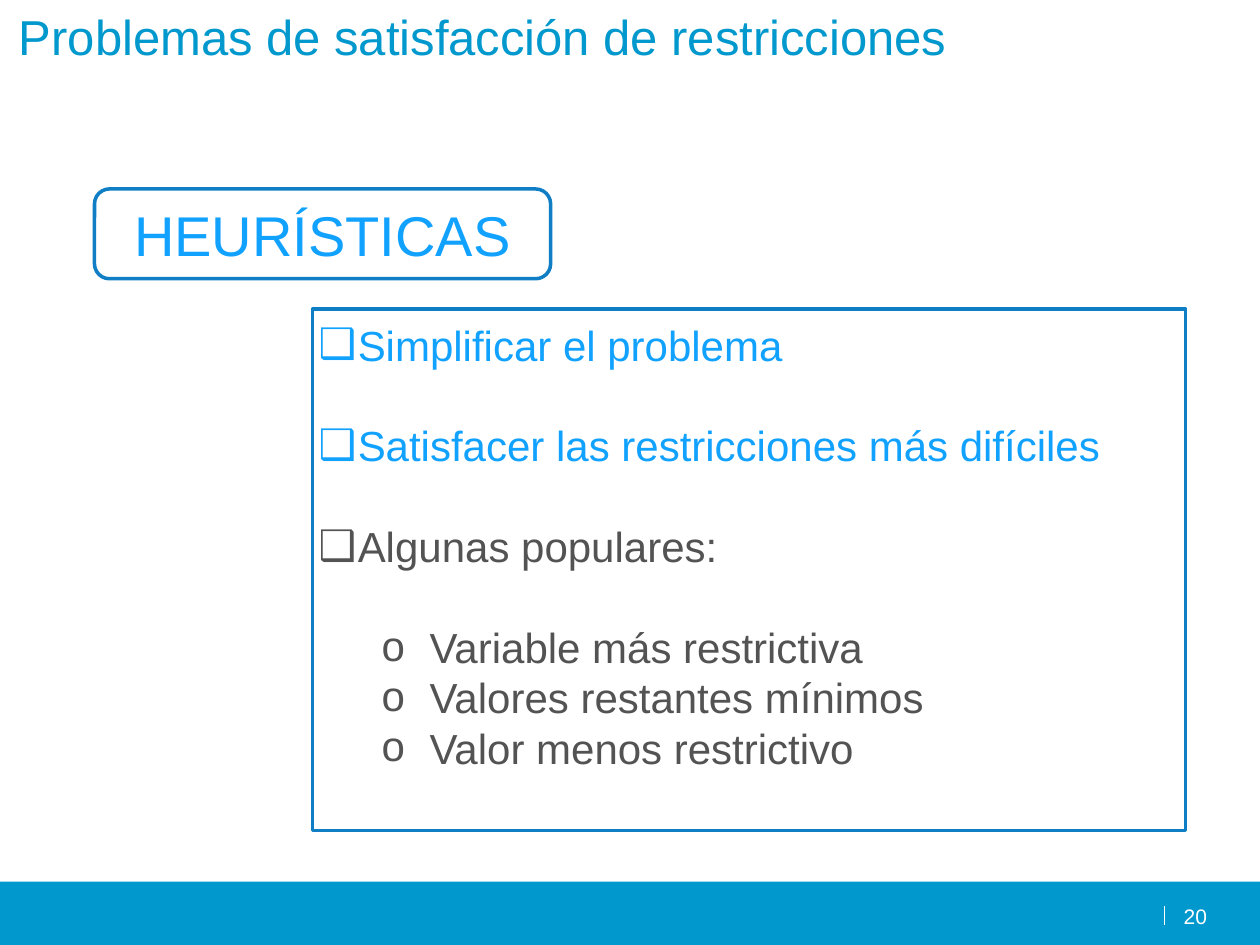
from dataclasses import dataclass
from typing import NamedTuple

from lxml import etree
from pptx import Presentation
from pptx.dml.color import RGBColor
from pptx.enum.shapes import MSO_CONNECTOR, MSO_SHAPE
from pptx.enum.text import MSO_ANCHOR, MSO_AUTO_SIZE, PP_ALIGN
from pptx.oxml.ns import qn
from pptx.util import Inches, Pt

RECT, ROUND = MSO_SHAPE.RECTANGLE, MSO_SHAPE.ROUNDED_RECTANGLE
STRAIGHT = MSO_CONNECTOR.STRAIGHT
TOP, MIDDLE = MSO_ANCHOR.TOP, MSO_ANCHOR.MIDDLE
LEFT, CENTER, RIGHT = PP_ALIGN.LEFT, PP_ALIGN.CENTER, PP_ALIGN.RIGHT
FIXED = MSO_AUTO_SIZE.NONE
WIDE, HIGH = Inches(10), Inches(7.5)


@dataclass(frozen=True)
class Theme:
    font: str = "Arial"
    brand: str = "0098CD"
    edge: str = "0F7EC5"
    bright: str = "11A1FF"
    dark: str = "535353"
    white: str = "FFFFFF"
    title: int = 28
    label: int = 32
    body: int = 24
    page: int = 12
    pitch: float = 28.8


class Box(NamedTuple):
    left: float
    top: float
    width: float
    height: float

    def place(self) -> tuple:
        return (int(WIDE * self.left), int(HIGH * self.top),
                int(WIDE * self.width), int(HIGH * self.height))


class Level(NamedTuple):
    mark: str
    margin: float
    hang: float
    depth: int


class Item(NamedTuple):
    text: str
    level: Level
    color: str
    gap: bool


THEME = Theme()
MAIN = Level("❑", 0.31, 0.31, 0)
SUB = Level("o", 0.88, 0.38, 1)
ITEMS = [
    Item("Simplificar el problema", MAIN, THEME.bright, False),
    Item("Satisfacer las restricciones más difíciles", MAIN, THEME.bright, True),
    Item("Algunas populares:", MAIN, THEME.dark, True),
    Item("Variable más restrictiva", SUB, THEME.dark, True),
    Item("Valores restantes mínimos", SUB, THEME.dark, False),
    Item("Valor menos restrictivo", SUB, THEME.dark, False),
]


def set_frame(frame, anchor, side: float, top: float) -> None:
    frame.word_wrap = True
    frame.auto_size = FIXED
    frame.vertical_anchor = anchor
    frame.margin_left = frame.margin_right = Inches(side)
    frame.margin_top = frame.margin_bottom = Inches(top)


def add_text(para, text: str, size: int, color: str, align=LEFT) -> None:
    para.alignment = align
    run = para.add_run()
    run.text = text
    run.font.name = THEME.font
    run.font.size = Pt(size)
    run.font.color.rgb = RGBColor.from_string(color)


def add_panel(slide, kind, box: Box, fill: str, edge: str = ""):
    panel = slide.shapes.add_shape(kind, *box.place())
    panel.shadow.inherit = False
    panel.fill.solid()
    panel.fill.fore_color.rgb = RGBColor.from_string(fill)
    if edge:
        panel.line.color.rgb = RGBColor.from_string(edge)
        panel.line.width = Pt(2)
    else:
        panel.line.fill.background()
    return panel


def add_item(para, item: Item) -> None:
    para.level = item.level.depth
    para.line_spacing = Pt(THEME.pitch)
    para.space_before = Pt(THEME.pitch if item.gap else 0)
    add_text(para, item.text, THEME.body, item.color)
    props = para._p.get_or_add_pPr()
    props.set("marL", str(Inches(item.level.margin)))
    props.set("indent", str(-Inches(item.level.hang)))
    font = etree.SubElement(props, qn("a:buFont"))
    font.set("typeface", THEME.font)
    mark = etree.SubElement(props, qn("a:buChar"))
    mark.set("char", item.level.mark)


def add_foot(slide) -> None:
    add_panel(slide, RECT, Box(0, 0.933, 1, 0.067), THEME.brand)
    x = int(WIDE * 0.924)
    rule = slide.shapes.add_connector(
        STRAIGHT, x, int(HIGH * 0.979), x, int(HIGH * 0.959))
    rule.line.color.rgb = RGBColor.from_string(THEME.white)
    rule.line.width = Pt(0.75)
    etree.SubElement(rule._element.spPr, qn("a:effectLst"))
    page = slide.shapes.add_textbox(*Box(0.928, 0.956, 0.03, 0.025).place())
    set_frame(page.text_frame, TOP, 0, 0)
    add_text(page.text_frame.paragraphs[0], "20", THEME.page, THEME.white, RIGHT)


def add_title(slide) -> None:
    title = slide.shapes.title
    title.left, title.top, title.width, title.height = Box(
        0.005, 0, 0.9, 0.167).place()
    set_frame(title.text_frame, TOP, 0.1, 0.05)
    add_text(title.text_frame.paragraphs[0],
             "Problemas de satisfacción de restricciones",
             THEME.title, THEME.brand)


def add_label(slide) -> None:
    label = add_panel(slide, ROUND, Box(0.075, 0.2, 0.362, 0.095),
                      THEME.white, THEME.edge)
    set_frame(label.text_frame, MIDDLE, 0.05, 0.05)
    add_text(label.text_frame.paragraphs[0], "HEURÍSTICAS",
             THEME.label, THEME.bright, CENTER)


def add_list(slide) -> None:
    panel = add_panel(slide, RECT, Box(0.248, 0.327, 0.693, 0.552),
                      THEME.white, THEME.edge)
    frame = panel.text_frame
    set_frame(frame, TOP, 0.05, 0.08)
    for i, item in enumerate(ITEMS):
        add_item(frame.add_paragraph() if i else frame.paragraphs[0], item)


def main() -> None:
    deck = Presentation()
    deck.slide_width, deck.slide_height = WIDE, HIGH
    slide = deck.slides.add_slide(deck.slide_layouts[5])
    add_foot(slide)
    add_title(slide)
    add_label(slide)
    add_list(slide)
    deck.save("out.pptx")


main()
